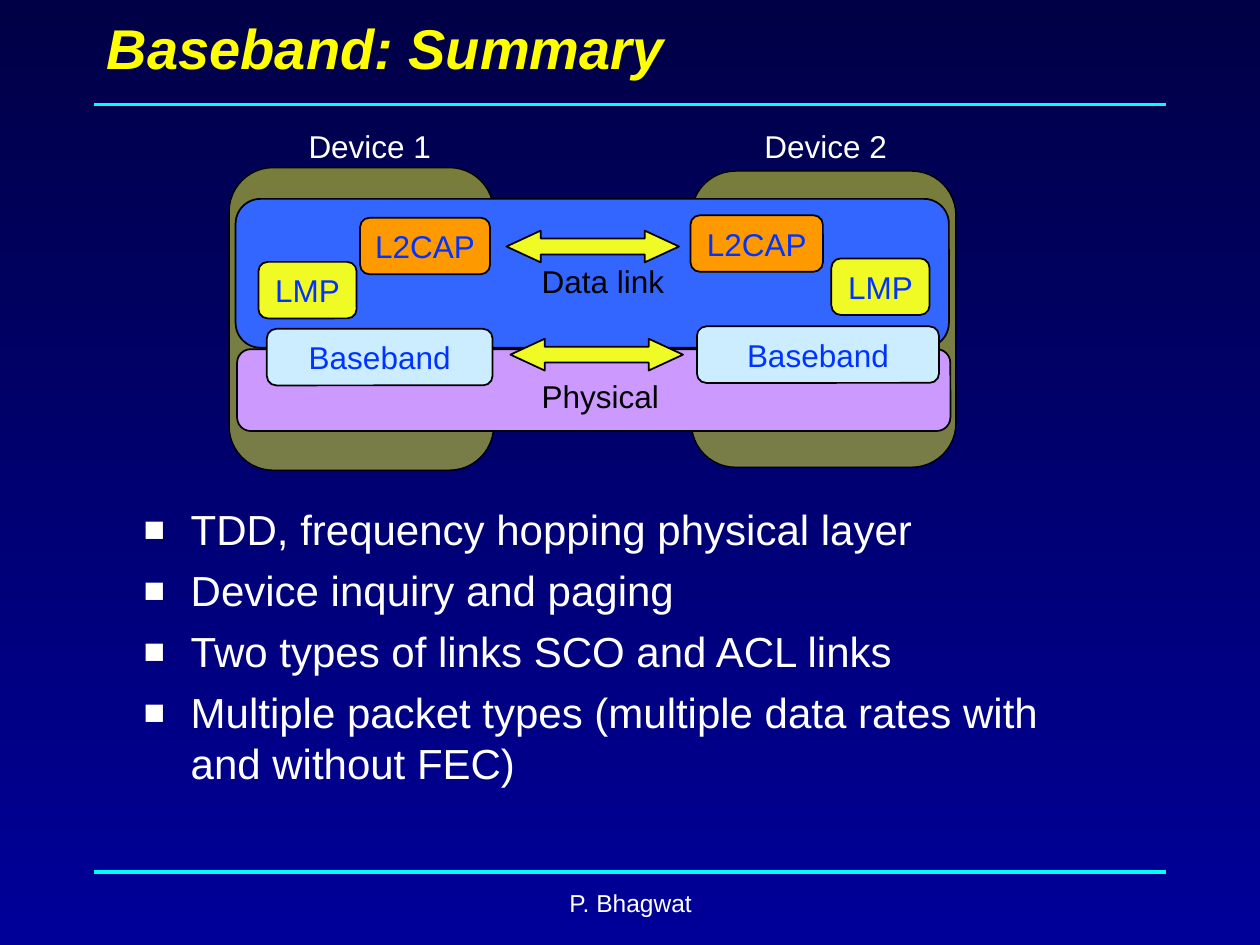
from typing import NamedTuple

from lxml import etree
from pptx import Presentation
from pptx import util as u
from pptx.dml.color import RGBColor
from pptx.enum import shapes, text
from pptx.oxml import ns

NIGHT = RGBColor(0x00, 0x00, 0x46)
NAVY = RGBColor(0x00, 0x00, 0x99)
CYAN = RGBColor(0x00, 0xFF, 0xFF)
YELLOW = RGBColor(0xFF, 0xFF, 0x00)
LEMON = RGBColor(0xF0, 0xFA, 0x24)
ORANGE = RGBColor(0xFF, 0x99, 0x00)
ICE = RGBColor(0xCC, 0xEC, 0xFF)
LILAC = RGBColor(0xCC, 0x99, 0xFF)
BLUE = RGBColor(0x33, 0x66, 0xFF)
INK = RGBColor(0x00, 0x33, 0xFF)
BLACK = RGBColor(0x00, 0x00, 0x00)
WHITE = RGBColor(0xFF, 0xFF, 0xFF)

ROUND = shapes.MSO_SHAPE.ROUNDED_RECTANGLE
ARROW = shapes.MSO_SHAPE.LEFT_RIGHT_ARROW
LEFT, MID = text.PP_ALIGN.LEFT, text.PP_ALIGN.CENTER


class Block(NamedTuple):
    """A filled shape; lengths in centimetres."""
    x: float
    y: float
    w: float
    h: float
    fill: RGBColor
    words: str = ""
    kind: shapes.MSO_SHAPE = ROUND
    alpha: int = 100
    line: float = 1


class Label(NamedTuple):
    """A line of free text; lengths in centimetres."""
    x: float
    y: float
    w: float
    h: float
    words: str
    color: RGBColor
    size: int = 18
    align: text.PP_ALIGN = LEFT


ROW = 1.14  # height of the protocol boxes
BLOCKS = [
    # Devices
    Block(13.94, 3.45, 5.33, 5.97, LEMON, alpha=50, line=0.75),
    Block(4.62, 3.38, 5.33, 6.1, LEMON, alpha=50, line=0.75),
    # Layers
    Block(4.78, 7.04, 14.38, 1.65, LILAC),
    Block(4.75, 4.01, 14.38, 3, BLUE),
    # Protocols
    Block(5.38, 6.63, 4.55, ROW, ICE, "Baseband"),
    Block(14.05, 6.58, 4.88, ROW, ICE, "Baseband"),
    Block(13.92, 4.34, 2.67, ROW, ORANGE, "L2CAP"),
    Block(7.26, 4.39, 2.62, ROW, ORANGE, "L2CAP"),
    Block(16.76, 5.21, 1.98, ROW, LEMON, "LMP"),
    Block(5.21, 5.28, 1.98, ROW, LEMON, "LMP"),
    # Links between the devices
    Block(10.29, 6.83, 3.48, 0.64, LEMON, kind=ARROW),
    Block(10.21, 4.65, 3.48, 0.64, LEMON, kind=ARROW),
]
LABELS = [
    Label(10.67, 7.47, 2.87, 1.02, "Physical", BLACK),
    Label(10.67, 5.16, 2.97, 1.02, "Data link", BLACK),
    Label(15.16, 2.44, 2.97, 1.02, "Device 2", WHITE),
    Label(5.97, 2.44, 2.97, 1.02, "Device 1", WHITE),
    Label(8.69, 17.78, 8.05, 1.27, "P. Bhagwat", WHITE, 14, MID),
]
POINTS = [
    "TDD, frequency hopping physical layer",
    "Device inquiry and paging",
    "Two types of links SCO and ACL links",
    "Multiple packet types (multiple data rates with and without FEC)",
]


def style(frame, size: float, color: RGBColor, align=LEFT, bold=False) -> None:
    for para in frame.paragraphs:
        para.alignment = align
        for run in para.runs:
            font = run.font
            font.name, font.size = "Arial", u.Pt(size)
            font.color.rgb = color
            font.bold = font.italic = bold


def place(shape, x: float, y: float, w: float, h: float) -> None:
    shape.left, shape.top = u.Cm(x), u.Cm(y)
    shape.width, shape.height = u.Cm(w), u.Cm(h)


def add_rule(slide, y: float) -> None:
    rule = slide.shapes.add_connector(
        shapes.MSO_CONNECTOR.STRAIGHT, u.Cm(1.9), u.Cm(y), u.Cm(23.5), u.Cm(y))
    rule.line.color.rgb, rule.line.width = CYAN, u.Pt(2)
    etree.SubElement(rule._element.spPr, ns.qn("a:effectLst"))


def add_block(slide, block: Block) -> None:
    shape = slide.shapes.add_shape(
        block.kind, *map(u.Cm, (block.x, block.y, block.w, block.h)))
    shape.shadow.inherit = False
    shape.fill.solid()
    shape.fill.fore_color.rgb = block.fill
    shape.line.color.rgb, shape.line.width = BLACK, u.Pt(block.line)
    if block.kind == ARROW:
        shape.adjustments[1] = 1.08
    if block.alpha < 100:
        color = shape._element.spPr.find(".//" + ns.qn("a:srgbClr"))
        etree.SubElement(color, ns.qn("a:alpha"), val=str(block.alpha * 1000))
    if block.words:
        frame = shape.text_frame
        frame.text, frame.word_wrap = block.words, False
        frame.vertical_anchor = text.MSO_ANCHOR.MIDDLE
        style(frame, 18, INK, MID)


def add_label(slide, label: Label) -> None:
    box = slide.shapes.add_textbox(
        *map(u.Cm, (label.x, label.y, label.w, label.h)))
    frame = box.text_frame
    frame.text, frame.word_wrap = label.words, label.align == MID
    style(frame, label.size, label.color, label.align)


def add_bullet(para) -> None:
    para.space_before = u.Pt(6)
    props = para._p.get_or_add_pPr()
    props.set("marL", str(u.Cm(0.95)))
    props.set("indent", str(-u.Cm(0.95)))
    tint = etree.SubElement(props, ns.qn("a:buClr"))
    etree.SubElement(tint, ns.qn("a:srgbClr"), val=str(WHITE))
    etree.SubElement(props, ns.qn("a:buSzPct"), val="85000")
    etree.SubElement(props, ns.qn("a:buFont"), typeface="Arial")
    etree.SubElement(props, ns.qn("a:buChar"), char="■")


def main() -> None:
    deck = Presentation()
    deck.slide_width, deck.slide_height = u.Cm(25.4), u.Cm(19.05)
    slide = deck.slides.add_slide(deck.slide_layouts[1])

    # Background, darkest at the top
    back = slide.background.fill
    back.gradient()
    back.gradient_angle = 270
    for stop, color in zip(back.gradient_stops, (NIGHT, NAVY)):
        stop.color.rgb = color
    for y in (2.11, 17.58):
        add_rule(slide, y)

    # Title
    title = slide.shapes.title
    place(title, 1.9, 0, 21.59, 1.9)
    frame = title.text_frame
    frame.text = "Baseband: Summary"
    frame.auto_size = text.MSO_AUTO_SIZE.NONE
    frame.vertical_anchor = text.MSO_ANCHOR.MIDDLE
    style(frame, 32, YELLOW, bold=True)

    # Bullet list
    body = slide.placeholders[1]
    place(body, 2.64, 10.03, 20.09, 7.16)
    frame = body.text_frame
    frame.text = "\n".join(POINTS)
    frame.auto_size = text.MSO_AUTO_SIZE.NONE
    style(frame, 24, WHITE)
    for para in frame.paragraphs:
        add_bullet(para)

    # Protocol stack
    for block in BLOCKS:
        add_block(slide, block)
    for label in LABELS:
        add_label(slide, label)

    deck.save("out.pptx")


if __name__ == "__main__":
    main()
